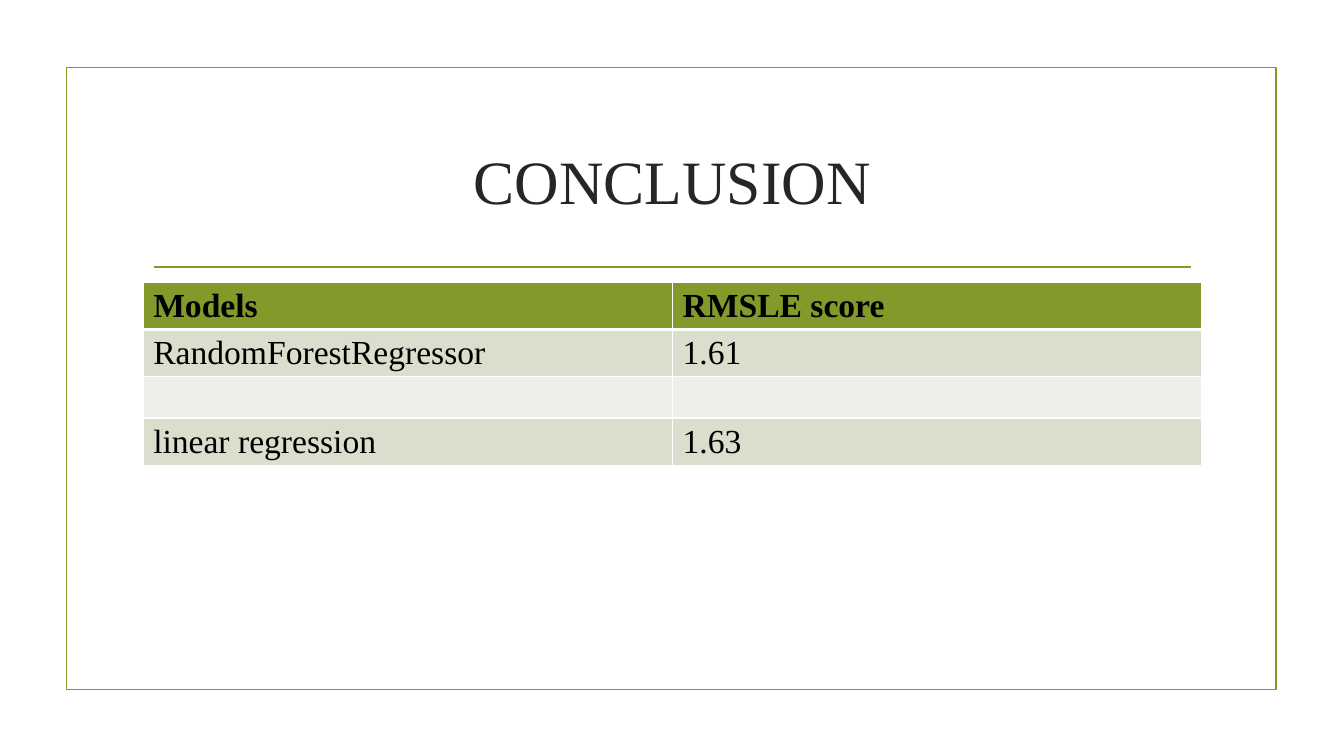
from lxml import etree
from pptx import Presentation
from pptx import util as u
from pptx.dml.color import RGBColor
from pptx.enum import shapes, text
from pptx.oxml.ns import qn

PX = 9144  # 100 px to the inch
COLORS = {
    "olive": "83992A",
    "title": "262626",
    "body": "000000",
    "border": "FFFFFF",
    "band_dark": "D9DECD",
    "band_light": "EDEFE8",
}


def color(name):
    return RGBColor.from_string(COLORS[name])


def write(frame, words, size=24, ink="body", bold=False, align=text.PP_ALIGN.LEFT):
    paragraph = frame.paragraphs[0]
    paragraph.alignment = align
    run = paragraph.add_run()
    run.text = words
    run.font.name = "Times New Roman"
    run.font.size = u.Pt(size)
    run.font.bold = bold
    run.font.color.rgb = color(ink)


deck = Presentation()
deck.slide_width, deck.slide_height = 1333 * PX, 750 * PX
slide = deck.slides.add_slide(deck.slide_layouts[5])

# Frame around the slide
frame = slide.shapes.add_shape(
    shapes.MSO_SHAPE.RECTANGLE, 66 * PX, 67 * PX, 1200 * PX, 617 * PX)
frame.shadow.inherit = False
frame.fill.background()
frame.line.color.rgb = color("olive")
frame.line.width = u.Pt(1.25)

# Rule under the title
rule = slide.shapes.add_connector(
    shapes.MSO_CONNECTOR.STRAIGHT, 153 * PX, 265 * PX, 1181 * PX, 265 * PX)
rule.line.color.rgb = color("olive")
rule.line.width = u.Pt(1.25)
etree.SubElement(rule._element.spPr, qn("a:effectLst"))

# Title
title = slide.shapes.title
title.left, title.top, title.width, title.height = 142 * PX, 107 * PX, 1050 * PX, 143 * PX
title.text_frame.vertical_anchor = text.MSO_ANCHOR.MIDDLE
write(title.text_frame, "CONCLUSION", size=44, ink="title", align=text.PP_ALIGN.CENTER)

# Scores of the models
scores = [
    ("Models", "RMSLE score"),
    ("RandomForestRegressor", "1.61"),
    ("", ""),
    ("linear regression", "1.63"),
]
row_fills = ["olive", "band_dark", "band_light", "band_dark"]
score_table = slide.shapes.add_table(
    len(scores), 2, 142 * PX, 280 * PX, 1050 * PX, 41 * len(scores) * PX).table

for row, (entries, row_fill) in enumerate(zip(scores, row_fills)):
    for column, entry in enumerate(entries):
        cell = score_table.cell(row, column)
        # White borders, thicker between header and body
        properties = cell._tc.get_or_add_tcPr()
        for side in ("lnL", "lnR", "lnT", "lnB"):
            thick = (row, side) in ((0, "lnB"), (1, "lnT"))
            border = etree.SubElement(
                properties, qn(f"a:{side}"), w=str(u.Pt(3 if thick else 1)))
            fill = etree.SubElement(border, qn("a:solidFill"))
            etree.SubElement(fill, qn("a:srgbClr"), val=COLORS["border"])
        cell.fill.solid()
        cell.fill.fore_color.rgb = color(row_fill)
        if entry:
            write(cell.text_frame, entry, bold=row == 0)

deck.save("out.pptx")
